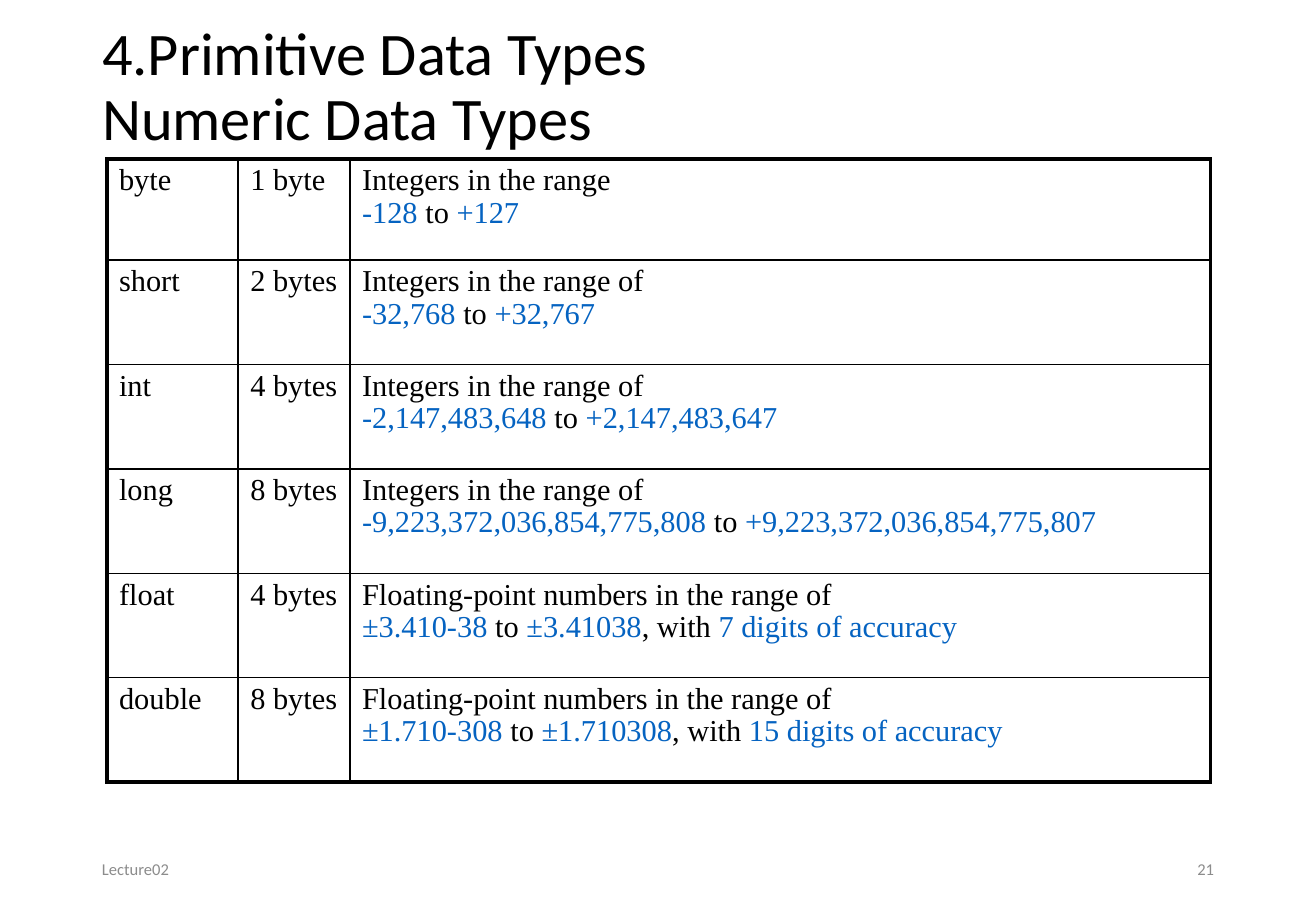
"""Build the slide that lists the numeric primitive data types."""
from lxml import etree
from pptx import Presentation
from pptx import util as u
from pptx.dml.color import RGBColor
from pptx.enum import text
from pptx.oxml import ns

BLACK = RGBColor(0x00, 0x00, 0x00)
BLUE = RGBColor(0x05, 0x63, 0xC1)
GRAY = RGBColor(0x8C, 0x8C, 0x8C)
THICK, THIN = u.Pt(2.25), u.Pt(1)

INTEGERS = "Integers in the range of"
FLOATS = "Floating-point numbers in the range of"
DATA_TYPES = [
    ("byte", "1 byte", "Integers in the range", ["-128", " to ", "+127"]),
    ("short", "2 bytes", INTEGERS, ["-32,768", " to ", "+32,767"]),
    ("int", "4 bytes", INTEGERS, ["-2,147,483,648", " to ", "+2,147,483,647"]),
    ("long", "8 bytes", INTEGERS,
     ["-9,223,372,036,854,775,808", " to ", "+9,223,372,036,854,775,807"]),
    ("float", "4 bytes", FLOATS,
     ["±3.410-38", " to ", "±3.41038", ", with ", "7 digits of accuracy"]),
    ("double", "8 bytes", FLOATS,
     ["±1.710-308", " to ", "±1.710308", ", with ", "15 digits of accuracy"]),
]
COLUMN_WIDTHS = [1.08, 0.92, 7.08]
ROW_HEIGHTS = [0.83] + [0.86] * 5


def add_run(paragraph, words, size, font_name, color):
    run = paragraph.add_run()
    run.text = words
    for name, value in {"size": u.Pt(size), "name": font_name}.items():
        setattr(run.font, name, value)
    run.font.color.rgb = color


def add_border(cell, side, width, position):
    line = etree.Element(ns.qn(f"a:ln{side}"), w=str(width))
    fill = etree.SubElement(line, ns.qn("a:solidFill"))
    etree.SubElement(fill, ns.qn("a:srgbClr"), val=str(BLACK))
    cell._tc.get_or_add_tcPr().insert(position, line)


prs = Presentation()
prs.slide_width, prs.slide_height = u.Inches(10.83), u.Inches(7.5)
slide = prs.slides.add_slide(prs.slide_layouts[5])

title = slide.shapes.title
title_place = {"left": 0.74, "top": 0, "width": 9.34, "height": 1.45}
for name, value in title_place.items():
    setattr(title, name, u.Inches(value))
title_format = {"vertical_anchor": text.MSO_ANCHOR.MIDDLE, "word_wrap": True,
                "auto_size": text.MSO_AUTO_SIZE.NONE}
for name, value in title_format.items():
    setattr(title.text_frame, name, value)
heading = title.text_frame.paragraphs[0]
heading.alignment = text.PP_ALIGN.LEFT
heading.line_spacing = 0.9
add_run(heading, "4.Primitive Data Types", 35.8, "Calibri", BLACK)
heading.add_line_break()
add_run(heading, "Numeric Data Types", 35.8, "Calibri", BLACK)

types_table = slide.shapes.add_table(
    len(DATA_TYPES), len(COLUMN_WIDTHS), u.Inches(0.88), u.Inches(1.31),
    u.Inches(sum(COLUMN_WIDTHS)), u.Inches(sum(ROW_HEIGHTS))).table
types_table.first_row = types_table.horz_banding = False
for column, width in zip(types_table.columns, COLUMN_WIDTHS):
    column.width = u.Inches(width)
for row, height in zip(types_table.rows, ROW_HEIGHTS):
    row.height = u.Inches(height)

last_row, last_column = len(DATA_TYPES) - 1, len(COLUMN_WIDTHS) - 1
for r, (type_name, storage, intro, limits) in enumerate(DATA_TYPES):
    for c, lines in enumerate([[[type_name]], [[storage]], [[intro], limits]]):
        cell = types_table.cell(r, c)
        cell.fill.background()
        outer = {"L": c == 0, "R": c == last_column,
                 "T": r == 0, "B": r == last_row}
        for position, (side, is_outer) in enumerate(outer.items()):
            add_border(cell, side, THICK if is_outer else THIN, position)
        for n, parts in enumerate(lines):
            frame = cell.text_frame
            paragraph = frame.add_paragraph() if n else frame.paragraphs[0]
            paragraph.line_spacing = 0.96
            for k, part in enumerate(parts):
                color = BLUE if n and k % 2 == 0 else BLACK
                add_run(paragraph, part, 18, "Times New Roman", color)

for left, words, alignment in [(0.74, "Lecture02", text.PP_ALIGN.LEFT),
                               (7.65, "21", text.PP_ALIGN.RIGHT)]:
    footer = slide.shapes.add_textbox(
        u.Inches(left), u.Inches(6.95), u.Inches(2.44), u.Inches(0.4)).text_frame
    footer.word_wrap = True
    footer.vertical_anchor = text.MSO_ANCHOR.MIDDLE
    footer.paragraphs[0].alignment = alignment
    add_run(footer.paragraphs[0], words, 9.8, "Calibri", GRAY)

prs.save("out.pptx")
